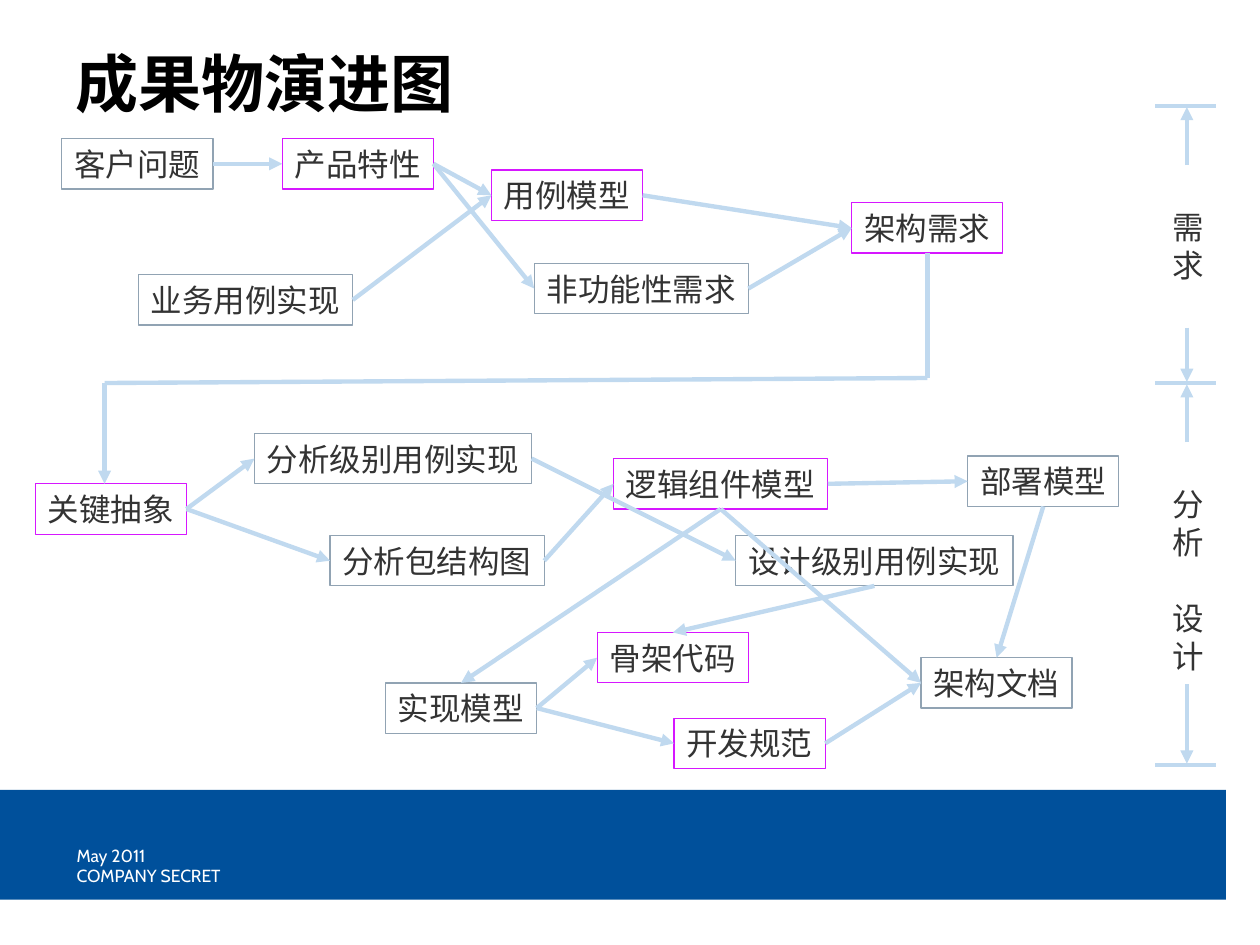
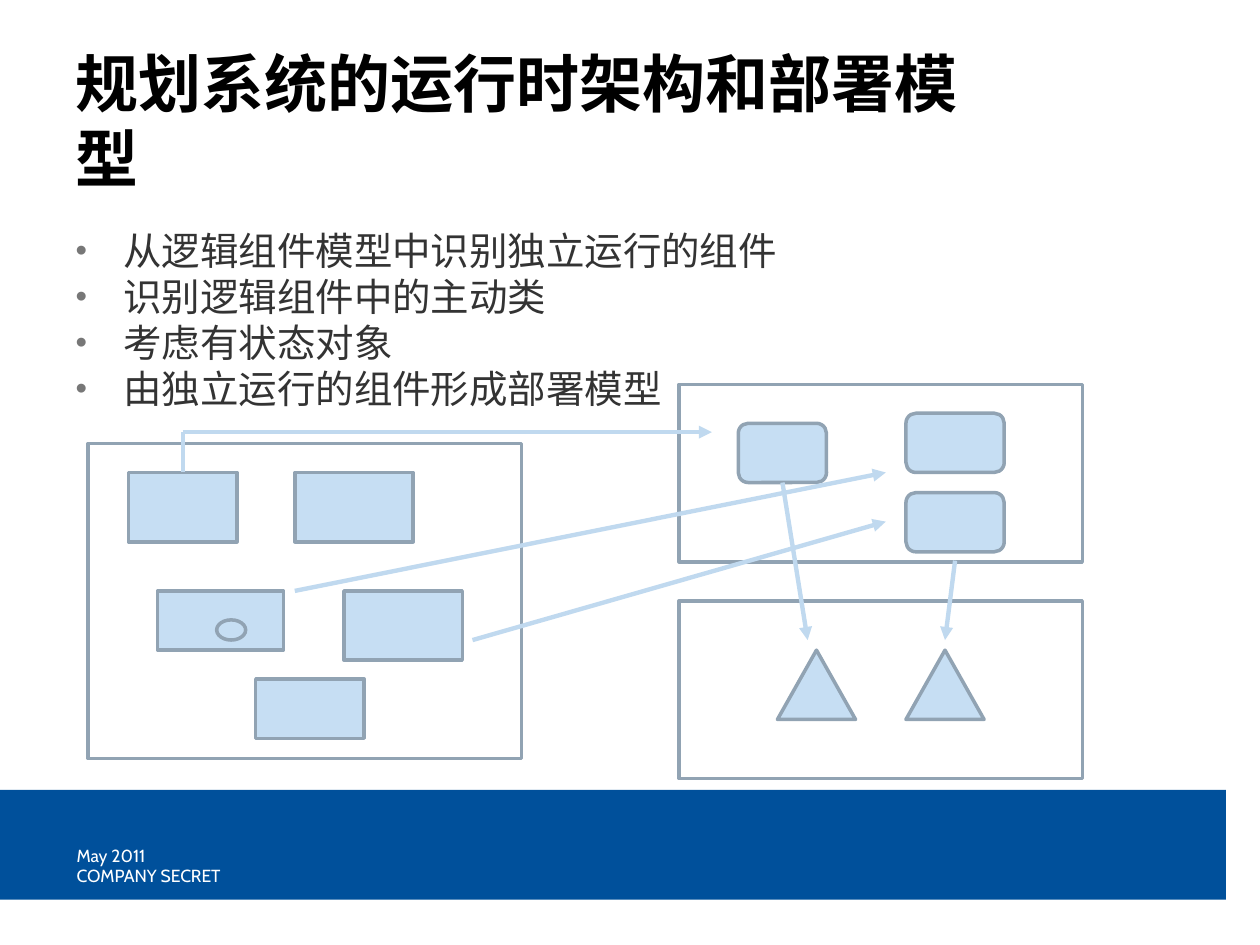
from lxml.etree import SubElement
from pptx import Presentation
from pptx.dml.color import RGBColor
from pptx.enum.shapes import MSO_CONNECTOR, MSO_SHAPE
from pptx.enum.text import MSO_ANCHOR, MSO_AUTO_SIZE, PP_ALIGN
from pptx.oxml.ns import qn
from pptx.util import Inches, Pt

BLACK = RGBColor(0x00, 0x00, 0x00)
WHITE = RGBColor(0xFF, 0xFF, 0xFF)
TEXT_GREY = RGBColor(0x33, 0x33, 0x33)
BAND_BLUE = RGBColor(0x00, 0x50, 0x9B)
ARROW_BLUE = RGBColor(0xC0, 0xD9, 0xEF)
PART_BLUE = RGBColor(0xC6, 0xDE, 0xF3)
OUTLINE = RGBColor(0x91, 0xA3, 0xB3)
KEY_PINK = RGBColor(0xD6, 0x17, 0xFF)

TOP, LEFT, BOTTOM, RIGHT = range(4)
TITLE_AND_BODY, TITLE_ONLY = 1, 5
RECT, ROUND = MSO_SHAPE.RECTANGLE, MSO_SHAPE.ROUNDED_RECTANGLE
TRIANGLE, OVAL = MSO_SHAPE.ISOSCELES_TRIANGLE, MSO_SHAPE.OVAL

# name, offset from the map's left and top, whether it is a key artifact
ARTIFACTS = [
    ("客户问题", 0.21, 0, False),
    ("产品特性", 1.96, 0, True),
    ("用例模型", 3.62, 0.25, True),
    ("业务用例实现", 0.82, 1.08, False),
    ("非功能性需求", 3.96, 0.99, False),
    ("架构需求", 6.48, 0.51, True),
    ("关键抽象", 0, 2.74, True),
    ("分析级别用例实现", 1.74, 2.34, False),
    ("分析包结构图", 2.34, 3.15, False),
    ("逻辑组件模型", 4.59, 2.54, True),
    ("开发规范", 5.07, 4.6, True),
    ("实现模型", 2.78, 4.32, False),
    ("部署模型", 7.4, 2.52, False),
    ("骨架代码", 4.46, 3.92, True),
    ("架构文档", 7.03, 4.12, False),
    ("设计级别用例实现", 5.56, 3.15, False),
]
FLOWS = [
    ("客户问题", RIGHT, "产品特性", LEFT),
    ("产品特性", RIGHT, "用例模型", LEFT),
    ("业务用例实现", RIGHT, "用例模型", LEFT),
    ("产品特性", RIGHT, "非功能性需求", LEFT),
    ("用例模型", RIGHT, "架构需求", LEFT),
    ("非功能性需求", RIGHT, "架构需求", LEFT),
    ("关键抽象", RIGHT, "分析级别用例实现", LEFT),
    ("关键抽象", RIGHT, "分析包结构图", LEFT),
    ("分析包结构图", RIGHT, "逻辑组件模型", LEFT),
    ("分析级别用例实现", RIGHT, "设计级别用例实现", LEFT),
    ("逻辑组件模型", RIGHT, "部署模型", LEFT),
    ("逻辑组件模型", BOTTOM, "实现模型", TOP),
    ("逻辑组件模型", BOTTOM, "架构文档", LEFT),
    ("实现模型", RIGHT, "骨架代码", LEFT),
    ("设计级别用例实现", BOTTOM, "骨架代码", TOP),
    ("实现模型", RIGHT, "开发规范", LEFT),
    ("开发规范", RIGHT, "架构文档", LEFT),
    ("部署模型", BOTTOM, "架构文档", TOP),
]
BULLETS = [
    "从逻辑组件模型中识别独立运行的组件",
    "识别逻辑组件中的主动类",
    "考虑有状态对象",
    "由独立运行的组件形成部署模型",
]
# kind, offset from the panel's left and top, width, height
LOGICAL_PARTS = [
    (RECT, 0.32, 0.23, 0.86, 0.55),
    (RECT, 1.64, 0.23, 0.94, 0.55),
    (RECT, 0.55, 1.17, 1, 0.47),
    (RECT, 2.03, 1.17, 0.94, 0.55),
    (RECT, 1.33, 1.87, 0.86, 0.47),
    (OVAL, 1.02, 1.4, 0.23, 0.16),
]
RUNTIME_PARTS = [
    (ROUND, 0.47, 0.31, 0.7, 0.47),
    (ROUND, 1.8, 0.23, 0.78, 0.47),
    (ROUND, 1.8, 0.86, 0.78, 0.47),
]
DEPLOYMENT_PARTS = [
    (TRIANGLE, 0.78, 0.39, 0.62, 0.55),
    (TRIANGLE, 1.8, 0.39, 0.62, 0.55),
]


def place(shape, left, top, width, height):
    shape.left, shape.top = Inches(left), Inches(top)
    shape.width, shape.height = Inches(width), Inches(height)


def style_text(frame, size, color, latin="Arial", asian="Cabin", bold=False):
    """Format every run, with one face for Latin and one for East Asian text."""
    for para in frame.paragraphs:
        para.alignment = PP_ALIGN.LEFT
        for span in para.runs:
            font = span.font
            font.size, font.bold, font.name = Pt(size), bold, latin
            font.color.rgb = color
            SubElement(font._element, qn("a:ea"), typeface=asian)


def add_figure(page, kind, left, top, width, height, fill=None, line=None, weight=2):
    shape = page.shapes.add_shape(
        kind, Inches(left), Inches(top), Inches(width), Inches(height))
    shape.shadow.inherit = False
    if fill is None:
        shape.fill.background()
    else:
        shape.fill.solid()
        shape.fill.fore_color.rgb = fill
    if line is None:
        shape.line.fill.background()
    else:
        shape.line.color.rgb = line
        shape.line.width = Pt(weight)
    return shape


def add_label(page, left, top, width, height, text):
    label = page.shapes.add_textbox(
        Inches(left), Inches(top), Inches(width), Inches(height))
    label.text_frame.text = text
    return label.text_frame


def add_line(page, start, end, arrow=True):
    """Draw from start to end; each is an (x, y) point or a (shape, side) pair."""
    joins = [isinstance(stop[0], (int, float)) is False for stop in (start, end)]
    points = [(0, 0) if joined else stop for joined, stop in zip(joins, (start, end))]
    line = page.shapes.add_connector(
        MSO_CONNECTOR.STRAIGHT, *(Inches(value) for point in points for value in point))
    if joins[0]:
        line.begin_connect(*start)
    if joins[1]:
        line.end_connect(*end)
    line.line.color.rgb = ARROW_BLUE
    line.line.width = Pt(2.5)
    if arrow:
        SubElement(line.line._get_or_add_ln(), qn("a:tailEnd"), type="triangle")
    SubElement(line._element.spPr, qn("a:effectLst"))


def add_footer(page, left, top):
    add_figure(page, RECT, left, top, 9.73, 0.87, fill=BAND_BLUE)
    for text, offset in (("May 2011", 0.39), ("COMPANY SECRET", 0.55)):
        frame = add_label(page, left + 0.51, top + offset, 3.15, 0.27, text)
        frame.word_wrap = True
        style_text(frame, 10, WHITE, "Cabin")


def add_page(deck, layout, title, title_height):
    page = deck.slides.add_slide(deck.slide_layouts[layout])
    add_footer(page, 0, 6.27)
    heading = page.shapes.title
    place(heading, 0.5, 0.3, 7.41, title_height)
    frame = heading.text_frame
    frame.text = title
    frame.auto_size = MSO_AUTO_SIZE.NONE
    frame.vertical_anchor = MSO_ANCHOR.TOP
    style_text(frame, 36, BLACK, "Roboto", "Roboto", bold=True)
    return page


def add_artifact(page, left, top, name, is_key):
    box = add_figure(page, RECT, left, top, 0.25 * len(name) + 0.2, 0.4,
                     line=KEY_PINK if is_key else OUTLINE, weight=0.75)
    box.text_frame.text = name
    box.text_frame.word_wrap = False
    style_text(box.text_frame, 18, TEXT_GREY)
    return box


def add_artifact_map(page, left, top):
    boxes = {name: add_artifact(page, left + x, top + y, name, is_key)
             for name, x, y, is_key in ARTIFACTS}
    for source, source_side, target, target_side in FLOWS:
        add_line(page, (boxes[source], source_side), (boxes[target], target_side))

    right_bend = (left + 7.08, top + 1.9)
    left_bend = (left + 0.55, top + 1.94)
    add_line(page, (boxes["架构需求"], BOTTOM), right_bend, arrow=False)
    add_line(page, right_bend, left_bend, arrow=False)
    add_line(page, left_bend, (left + 0.55, top + 2.74))


def add_phase(page, left, top, height, words, label_height, down_length):
    """Show one phase as its name between an upward and a downward arrow."""
    middle = left + 0.25
    add_line(page, (middle, top + 0.47), (middle, top + 0.01))
    add_line(page, (middle, top + height - down_length), (middle, top + height - 0.01))
    frame = add_label(page, left + 0.04, top + 0.76, 0.45, label_height,
                      "\n".join("\n".join(word) for word in words))
    frame.word_wrap = False
    style_text(frame, 18, TEXT_GREY)
    for index in range(len(words[0]), len(frame.paragraphs), 2):
        frame.paragraphs[index].space_before = Pt(22)


def add_phase_rail(page, left, top):
    for offset in (0, 2.2, 5.23):
        add_line(page, (left + 0.48, top + offset), (left, top + offset), arrow=False)
    add_phase(page, left, top, 2.2, ["需求"], 0.7, 0.44)
    add_phase(page, left, top + 2.2, 3.03, ["分析", "设计"], 1.6, 0.64)


def add_bullets(page, left, top):
    body = page.placeholders[1]
    place(body, left, top, 7.41, 4.13)
    frame = body.text_frame
    frame.text = "\n".join(BULLETS)
    frame.auto_size = MSO_AUTO_SIZE.NONE
    for para in frame.paragraphs:
        para.space_before = Pt(0)
        properties = para._p.get_or_add_pPr()
        properties.set("marL", str(Inches(0.38)))
        properties.set("indent", str(-Inches(0.38)))
        bullet_color = SubElement(properties, qn("a:buClr"))
        SubElement(bullet_color, qn("a:srgbClr"), val="777777")
        SubElement(properties, qn("a:buSzPct"), val="85000")
        SubElement(properties, qn("a:buChar"), char="•")
    style_text(frame, 22, TEXT_GREY, "Cabin")


def add_panel(page, left, top, width, height, parts):
    """Draw a frame with its parts inside and return the parts."""
    add_figure(page, RECT, left, top, width, height, line=OUTLINE)
    return [add_figure(page, kind, left + x, top + y, part_width, part_height,
                       fill=PART_BLUE, line=OUTLINE)
            for kind, x, y, part_width, part_height in parts]


def add_deployment_diagram(page, left, top):
    components = add_panel(page, left, top + 0.47, 3.44, 2.5, LOGICAL_PARTS)
    processes = add_panel(page, left + 4.69, top, 3.2, 1.41, RUNTIME_PARTS)
    add_panel(page, left + 4.69, top + 1.72, 3.2, 1.41, DEPLOYMENT_PARTS)

    bend = (left + 0.75, top + 0.38)
    add_line(page, (components[0], TOP), bend, arrow=False)
    add_line(page, bend, (left + 4.95, top + 0.38))
    add_line(page, (left + 1.64, top + 1.64), (left + 6.33, top + 0.7))
    add_line(page, (left + 3.05, top + 2.03), (left + 6.33, top + 1.09))
    add_line(page, (processes[0], BOTTOM), (left + 5.71, top + 2.03))
    add_line(page, (left + 6.88, top + 1.4), (left + 6.8, top + 2.03))


def main():
    deck = Presentation()
    deck.slide_width, deck.slide_height = Inches(10), Inches(7.5)

    evolution = add_page(deck, TITLE_ONLY, "成果物演进图", 0.71)
    add_artifact_map(evolution, 0.28, 1.1)
    add_phase_rail(evolution, 9.17, 0.84)

    deployment = add_page(deck, TITLE_AND_BODY, "规划系统的运行时架构和部署模型", 1.25)
    add_bullets(deployment, 0.5, 1.75)
    add_deployment_diagram(deployment, 0.7, 3.05)

    deck.save("out.pptx")


if __name__ == "__main__":
    main()
